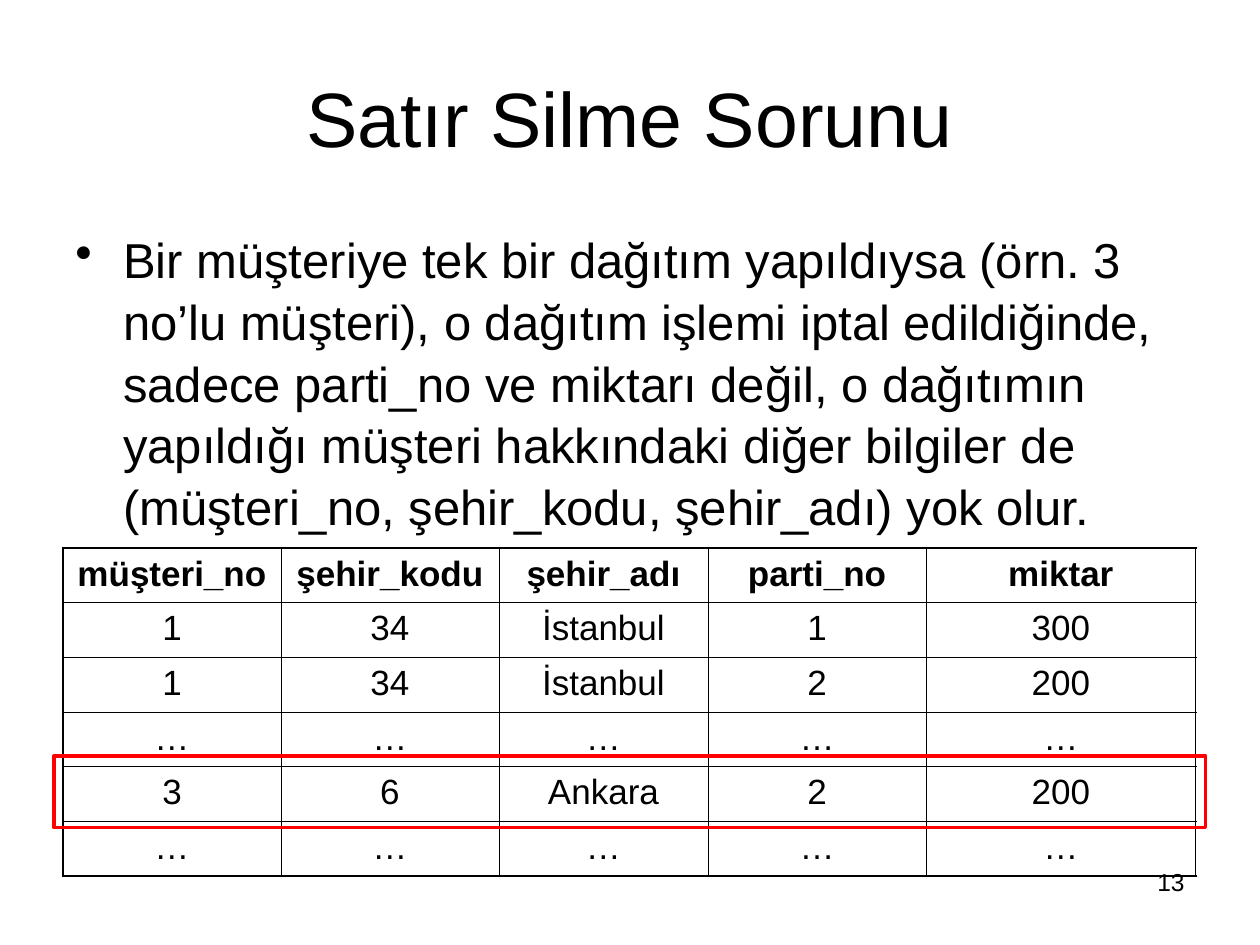
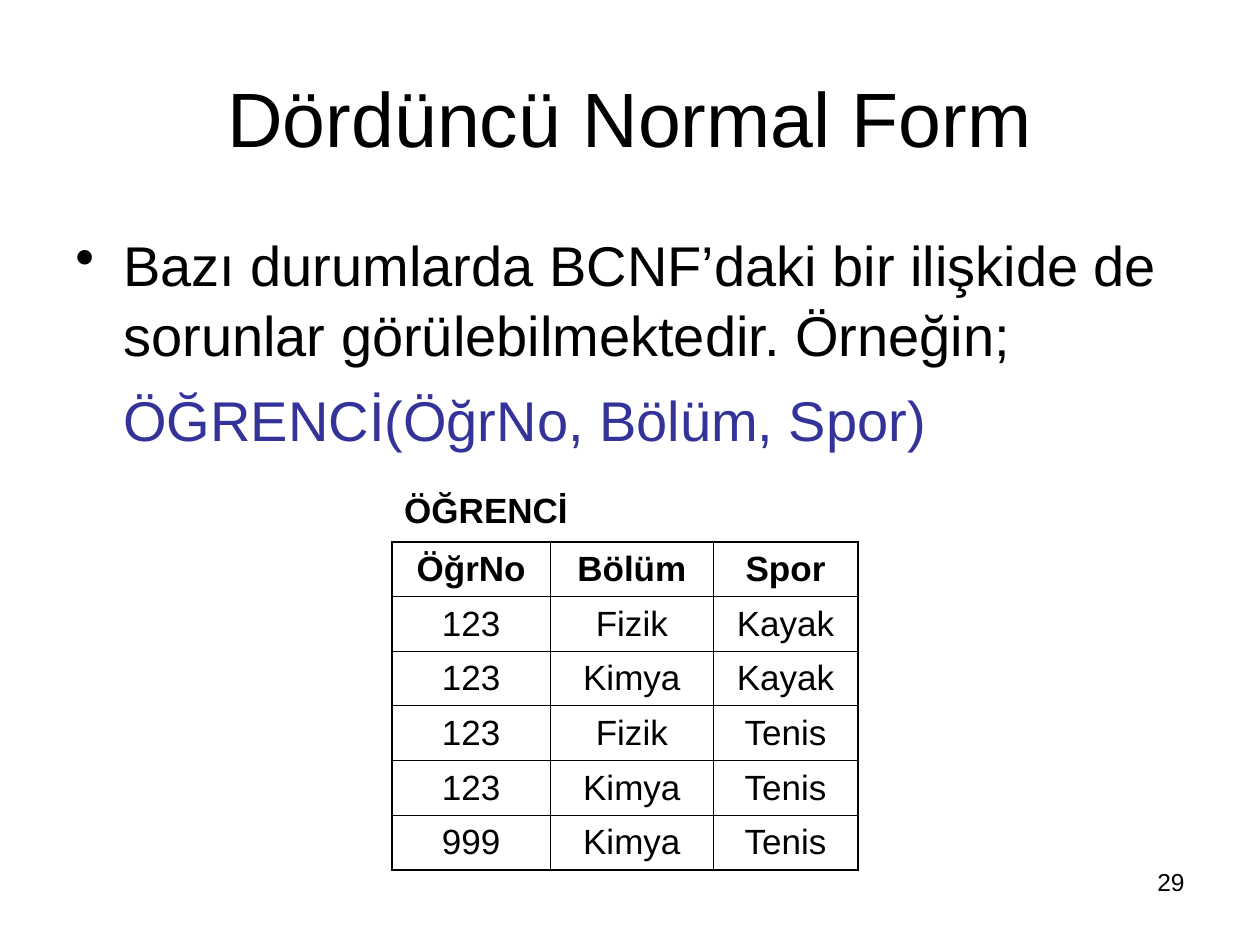
from dataclasses import dataclass

from lxml.etree import SubElement
from pptx import Presentation
from pptx.dml.color import RGBColor as Color
from pptx.enum.shapes import MSO_SHAPE as Shape
from pptx.enum.text import MSO_ANCHOR as Anchor, PP_ALIGN as Align
from pptx.oxml.ns import qn
from pptx.util import Inches, Pt

GRID = Inches(0.5)  # side of one grid square: 20 columns by 15 rows


@dataclass(frozen=True)
class Theme:
    font: str = "Arial"
    ink: str = "000000"
    accent: str = "333399"
    alert: str = "FF0000"
    title: int = 44
    table: int = 20
    footer: int = 14
    outer_line: float = 1.08
    inner_line: float = 0.45
    alert_line: float = 2
    hanging: float = 0.38
    leading: float = 1.05


def squares(*counts):
    return [round(count * GRID) for count in counts]


class Deck:
    def __init__(self, theme):
        self.theme = theme
        self.show = Presentation()
        self.show.slide_width, self.show.slide_height = squares(20, 15)
        self.slide = None

    def new_slide(self):
        self.slide = self.show.slides.add_slide(self.show.slide_layouts[6])

    def style(self, paragraph, size, color=None, bold=False, align=Align.LEFT):
        paragraph.alignment = align
        font = paragraph.font
        font.name, font.size, font.bold = self.theme.font, Pt(size), bold
        font.color.rgb = Color.from_string(color or self.theme.ink)

    def frame(self, place, anchor=Anchor.TOP):
        frame = self.slide.shapes.add_textbox(*squares(*place)).text_frame
        frame.word_wrap = True
        frame.vertical_anchor = anchor
        return frame

    def line(self, text, place, size, anchor=Anchor.TOP, **look):
        paragraph = self.frame(place, anchor).paragraphs[0]
        paragraph.text = text
        self.style(paragraph, size, **look)

    def title(self, text):
        self.line(text, (1, 0.6, 18, 2.5), self.theme.title,
                  Anchor.MIDDLE, align=Align.CENTER)

    def page_number(self, number):
        self.line(str(number), (14.34, 13.66, 4.66, 1.04),
                  self.theme.footer, align=Align.RIGHT)

    def body(self, bullet, size, rows, example=None):
        """Write a bulleted statement and, under it, an unbulleted example."""
        frame = self.frame((1, 3.5, 18, rows))
        statement = frame.paragraphs[0]
        statement.text = bullet
        self.style(statement, size)
        self.indent(statement, "•")
        if example:
            formula = frame.add_paragraph()
            formula.text = example
            self.style(formula, size, self.theme.accent)
            self.indent(formula)
        for paragraph in frame.paragraphs:
            paragraph.space_before = Pt(size / 4)
            paragraph.line_spacing = self.theme.leading

    def indent(self, paragraph, bullet=None):
        properties = paragraph._p.get_or_add_pPr()
        margin = Inches(self.theme.hanging)
        properties.set("marL", str(margin))
        properties.set("indent", str(-margin if bullet else 0))
        if bullet:
            SubElement(properties, qn("a:buChar"), char=bullet)
        else:
            SubElement(properties, qn("a:buNone"))

    def table(self, records, left, top, widths, anchor=Anchor.TOP):
        height = 5.2
        last_row, last_column = len(records) - 1, len(widths) - 1
        place = squares(left, top, sum(widths), height)
        grid = self.slide.shapes.add_table(len(records), len(widths), *place).table
        grid.first_row = grid.horz_banding = False
        for column, width in zip(grid.columns, squares(*widths)):
            column.width = width
        for row in grid.rows:
            row.height = round(place[3] / len(records))
        for r, record in enumerate(records):
            for c, value in enumerate(record):
                cell = grid.cell(r, c)
                cell.text = value
                cell.vertical_anchor = anchor
                self.style(cell.text_frame.paragraphs[0], self.theme.table,
                           bold=r == 0, align=Align.CENTER)
                self.borders(cell, L=c == 0, R=c == last_column,
                             T=r == 0, B=r == last_row)
                cell.fill.background()

    def borders(self, cell, **outer_sides):
        """Rule each side, heavier where it lies on the table's edge."""
        properties = cell._tc.get_or_add_tcPr()
        for side, is_outer in outer_sides.items():
            width = self.theme.outer_line if is_outer else self.theme.inner_line
            rule = SubElement(properties, qn(f"a:ln{side}"), w=str(Pt(width)))
            fill = SubElement(rule, qn("a:solidFill"))
            SubElement(fill, qn("a:srgbClr"), val=self.theme.ink)

    def highlight(self, *place):
        outline = self.slide.shapes.add_shape(Shape.RECTANGLE, *squares(*place))
        outline.shadow.inherit = False
        outline.fill.background()
        outline.line.color.rgb = Color.from_string(self.theme.alert)
        outline.line.width = Pt(self.theme.alert_line)


def deletion_slide(deck):
    deck.new_slide()
    deck.body(
        "Bir müşteriye tek bir dağıtım yapıldıysa (örn. 3 no’lu müşteri), "
        "o dağıtım işlemi iptal edildiğinde, sadece parti_no ve miktarı değil, "
        "o dağıtımın yapıldığı müşteri hakkındaki diğer bilgiler de "
        "(müşteri_no, şehir_kodu, şehir_adı) yok olur.",
        size=28, rows=5.1)
    deck.title("Satır Silme Sorunu")
    omitted = ["…"] * 5
    deliveries = [
        ["müşteri_no", "şehir_kodu", "şehir_adı", "parti_no", "miktar"],
        ["1", "34", "İstanbul", "1", "300"],
        ["1", "34", "İstanbul", "2", "200"],
        omitted,
        ["3", "6", "Ankara", "2", "200"],
        omitted,
    ]
    deck.table(deliveries, 1, 8.7, [3.46, 3.46, 3.32, 3.46, 4.28])
    deck.highlight(0.86, 12, 18.28, 1.14)
    deck.page_number(13)


def fourth_form_slide(deck):
    deck.new_slide()
    deck.body(
        "Bazı durumlarda BCNF’daki bir ilişkide de sorunlar görülebilmektedir. "
        "Örneğin;",
        size=32, rows=3.84, example="ÖĞRENCİ(ÖğrNo, Bölüm, Spor)")
    deck.title("Dördüncü Normal Form")
    table_left = 6.22
    deck.line("ÖĞRENCİ", (table_left, 7.66, 4.88, 0.88),
              deck.theme.table, bold=True)
    students = [
        ["ÖğrNo", "Bölüm", "Spor"],
        ["123", "Fizik", "Kayak"],
        ["123", "Kimya", "Kayak"],
        ["123", "Fizik", "Tenis"],
        ["123", "Kimya", "Tenis"],
        ["999", "Kimya", "Tenis"],
    ]
    deck.table(students, table_left, 8.6, [2.52, 2.58, 2.3], Anchor.MIDDLE)
    deck.page_number(29)


def main():
    deck = Deck(Theme())
    deletion_slide(deck)
    fourth_form_slide(deck)
    deck.show.save("out.pptx")


if __name__ == "__main__":
    main()
